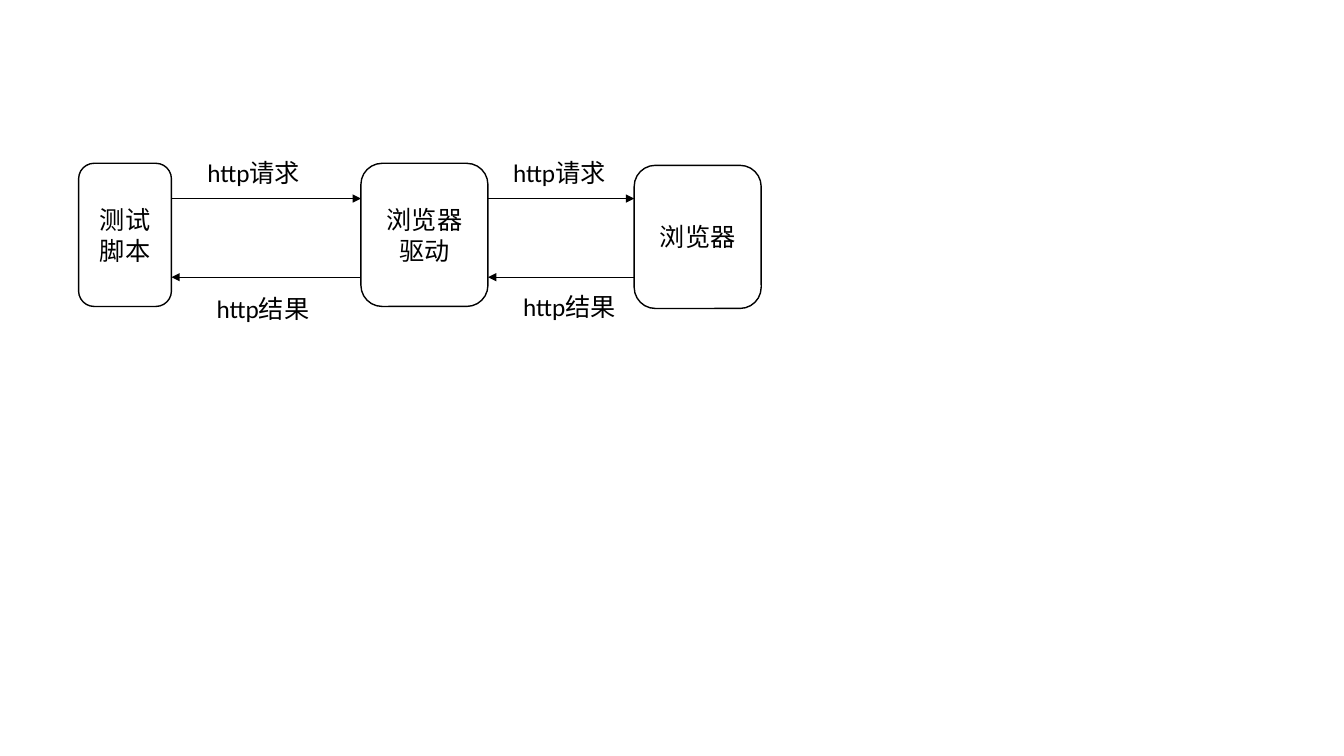
from dataclasses import dataclass

from lxml import etree
from pptx import Presentation
from pptx import util as u
from pptx.dml.color import RGBColor
from pptx.enum import shapes, text
from pptx.oxml.ns import qn

INK = "000000"
PAPER = "FFFFFF"
FONT = {"size": u.Pt(18), "name": "Calibri"}
BOX = {"word_wrap": True, "vertical_anchor": text.MSO_ANCHOR.MIDDLE}
LABEL = {"word_wrap": True, "auto_size": text.MSO_AUTO_SIZE.SHAPE_TO_FIT_TEXT}


@dataclass
class Node:
    name: str
    left: float
    top: float
    width: float
    height: float = 1.42

    @property
    def right(self) -> float:
        return self.left + self.width


@dataclass
class Label:
    words: str
    left: float
    top: float
    width: float
    height: float = 0.4


def paint(part, color: str) -> None:
    """Give a fill, or the fill of a line or font, a solid colour."""
    part.solid()
    part.fore_color.rgb = RGBColor.from_string(color)


def style(item, form: dict) -> None:
    for key, value in form.items():
        setattr(item, key, value)


def write(frame, words: str, form: dict, align: text.PP_ALIGN) -> None:
    style(frame, form)
    para = frame.paragraphs[0]
    para.alignment = align
    run = para.add_run()
    run.text = words
    style(run.font, FONT)
    paint(run.font.fill, INK)


def draw_node(slide, node: Node) -> None:
    place = map(u.Inches, (node.left, node.top, node.width, node.height))
    shape = slide.shapes.add_shape(shapes.MSO_SHAPE.ROUNDED_RECTANGLE, *place)
    shape.shadow.inherit = False
    paint(shape.fill, PAPER)
    paint(shape.line.fill, INK)
    shape.line.width = u.Pt(1)
    write(shape.text_frame, node.name, BOX, text.PP_ALIGN.CENTER)


def draw_arrow(slide, start: float, end: float, y: float) -> None:
    ends = map(u.Inches, (start, y, end, y))
    arrow = slide.shapes.add_connector(shapes.MSO_CONNECTOR.STRAIGHT, *ends)
    paint(arrow.line.fill, INK)
    arrow.line.width = u.Pt(0.5)
    props = arrow.line._get_or_add_ln()
    etree.SubElement(props, qn("a:tailEnd"), type="triangle")
    etree.SubElement(arrow._element.spPr, qn("a:effectLst"))


def draw_label(slide, label: Label) -> None:
    place = map(u.Inches, (label.left, label.top, label.width, label.height))
    box = slide.shapes.add_textbox(*place)
    write(box.text_frame, label.words, LABEL, text.PP_ALIGN.LEFT)


NODES = [
    Node("测试脚本", 0.78, 1.62, 0.92),
    Node("浏览器驱动", 3.58, 1.62, 1.26),
    Node("浏览器", 6.29, 1.64, 1.26),
]
LABELS = [
    Label("http请求", 1.96, 1.51, 1.36),
    Label("http请求", 4.99, 1.51, 1.36),
    Label("http结果", 2.05, 2.86, 1.26),
    Label("http结果", 5.09, 2.84, 1.26),
]
ASK_Y, REPLY_Y = 1.97, 2.75


def main() -> None:
    deck = Presentation()
    deck.slide_width, deck.slide_height = u.Inches(13.33), u.Inches(7.5)
    slide = deck.slides.add_slide(deck.slide_layouts[6])

    # Parties
    for node in NODES:
        draw_node(slide, node)

    # Requests run right, results run back
    for near, far in zip(NODES, NODES[1:]):
        draw_arrow(slide, near.right, far.left, ASK_Y)
        draw_arrow(slide, far.left, near.right, REPLY_Y)

    # Arrow labels
    for label in LABELS:
        draw_label(slide, label)

    deck.save("out.pptx")


if __name__ == "__main__":
    main()
